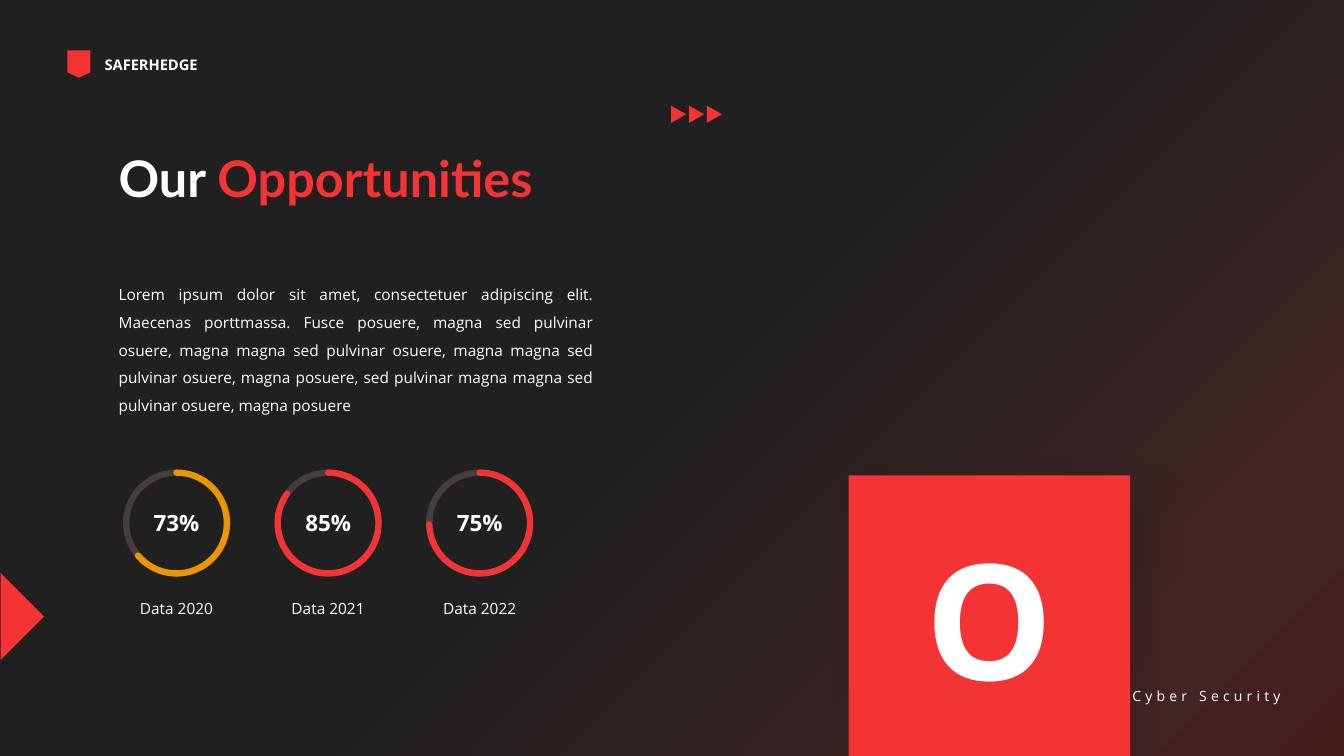
from dataclasses import dataclass

import lxml.etree
import pptx
import pptx.dml.color
import pptx.enum.shapes
import pptx.enum.text
import pptx.oxml
import pptx.oxml.ns
import pptx.util

Cm, Pt = pptx.util.Cm, pptx.util.Pt
RGB = pptx.dml.color.RGBColor.from_string
SHAPE = pptx.enum.shapes.MSO_SHAPE
ALIGN = pptx.enum.text.PP_ALIGN
ANCHOR = pptx.enum.text.MSO_ANCHOR
qn, nsdecls = pptx.oxml.ns.qn, pptx.oxml.ns.nsdecls


@dataclass(frozen=True)
class Theme:
    white: str = "FFFFFF"
    red: str = "F43334"
    amber: str = "EB9500"
    track: str = "E1B6B6"
    backdrop: tuple = ((0, "202020"), (50, "202020"), (88, "442424"), (100, "441C1C"))
    heading_font: str = "Lato"
    body_font: str = "Open Sans"
    letter: float = 115
    title: float = 36
    percent: float = 16
    body: float = 11
    brand: float = 10.5
    footer: float = 10
    ring: float = 4.5


theme = Theme()
prs = pptx.Presentation()
prs.slide_width, prs.slide_height = Cm(33.87), Cm(19.05)
s = prs.slides.add_slide(prs.slide_layouts[6])


def add_shape(kind, left, top, width, height, fill=None, line=None, rotation=0):
    sp = s.shapes.add_shape(kind, Cm(left), Cm(top), Cm(width), Cm(height))
    sp.shadow.inherit = False
    sp.rotation = rotation
    if fill:
        sp.fill.solid()
        sp.fill.fore_color.rgb = RGB(fill)
    else:
        sp.fill.background()
    if line:
        sp.line.color.rgb = RGB(line)
        sp.line.width = Pt(theme.ring)
    else:
        sp.line.fill.background()
    return sp


def add_text(*runs, box=None, sp=None, size=theme.body, font=theme.body_font, bold=False,
             align=ALIGN.LEFT, anchor=ANCHOR.TOP, line_spacing=None, tracking=None):
    """Write (text, colour) runs into shape sp, or into a new text box."""
    sp = sp or s.shapes.add_textbox(*map(Cm, box))
    tf = sp.text_frame
    tf.word_wrap = True
    tf.vertical_anchor = anchor
    p = tf.paragraphs[0]
    p.alignment = align
    if line_spacing:
        p.line_spacing = line_spacing
    for text, color in runs:
        r = p.add_run()
        r.text = text
        r.font.name, r.font.size, r.font.bold = font, Pt(size), bold
        r.font.color.rgb = RGB(color)
        if tracking:
            r.font._element.set("spc", str(tracking * 100))


# Background
s.background.fill.gradient()
s.background.fill.gradient_angle = 315
stops = s._element.find(".//" + qn("a:gsLst"))
for stop in list(stops):
    stops.remove(stop)
for position, color in theme.backdrop:
    stop = lxml.etree.SubElement(stops, qn("a:gs"), pos=str(position * 1000))
    lxml.etree.SubElement(stop, qn("a:srgbClr"), val=color)

# Letter block
block = add_shape(SHAPE.RECTANGLE, 21.39, 11.98, 7.09, 7.07, fill=theme.red)
block._element.spPr.find(qn("a:effectLst")).append(pptx.oxml.parse_xml(
    f'<a:outerShdw {nsdecls("a")} blurRad="{Pt(30)}" dist="{Pt(20)}" dir="2700000" '
    'algn="tl" rotWithShape="0"><a:srgbClr val="000000"><a:alpha val="10000"/>'
    '</a:srgbClr></a:outerShdw>'))
add_text(("O", theme.white), sp=block, size=theme.letter, bold=True,
         align=ALIGN.CENTER, anchor=ANCHOR.MIDDLE)

# Brand, footer and edge marker
add_shape(SHAPE.FLOWCHART_OFFPAGE_CONNECTOR, 1.7, 1.27, 0.58, 0.69, fill=theme.red)
add_text(("SAFERHEDGE", theme.white), box=(2.39, 1.27, 3.5, 0.71),
         size=theme.brand, bold=True)
add_text(("Cyber Security", theme.white), box=(27.97, 17.2, 4.55, 0.69),
         size=theme.footer, align=ALIGN.RIGHT, tracking=3)
add_shape(SHAPE.RIGHT_TRIANGLE, -0.76, 14.76, 1.55, 1.55, fill=theme.red, rotation=225)

# Title and body
add_text(("Our ", theme.white), ("Opportunities", theme.red), box=(2.74, 3.58, 11.56, 1.8),
         size=theme.title, font=theme.heading_font, bold=True)
add_text(("Lorem ipsum dolor sit amet, consectetuer adipiscing elit. Maecenas porttmassa. "
          "Fusce posuere, magna sed pulvinar osuere, magna magna sed pulvinar osuere, "
          "magna magna sed pulvinar osuere, magna posuere, sed pulvinar magna magna sed "
          "pulvinar osuere, magna posuere", theme.white),
         box=(2.74, 6.83, 12.47, 3.78), align=ALIGN.JUSTIFY, line_spacing=1.5)

# Progress rings: each arc runs clockwise from the top to its end angle
rings = [("73%", "Data 2020", 139.8, theme.amber),
         ("85%", "Data 2021", 215.6, theme.red),
         ("75%", "Data 2022", 178.5, theme.red)]
ring_top, ring_size, ring_pitch = 11.91, 2.54, 3.82
for i, (percent, label, end_angle, color) in enumerate(rings):
    left = 3.18 + i * ring_pitch
    ring_box = (left, ring_top, ring_size, ring_size)
    track = add_shape(SHAPE.OVAL, *ring_box, line=theme.track)
    track_color = track.line._ln.find(".//" + qn("a:srgbClr"))
    lxml.etree.SubElement(track_color, qn("a:alpha"), val="20000")
    arc = add_shape(SHAPE.ARC, *ring_box, line=color)
    for n, angle in enumerate((270, end_angle)):
        arc.adjustments[n] = angle * 0.6
    arc.line._ln.set("cap", "rnd")
    add_text((percent, theme.white), box=ring_box, size=theme.percent, bold=True,
             align=ALIGN.CENTER, anchor=ANCHOR.MIDDLE)
    add_text((label, theme.white), box=(left - 0.16, 14.73, ring_size + 0.32, 0.97),
             align=ALIGN.CENTER, line_spacing=1.5)

# Forward arrows
for i in range(3):
    add_shape(SHAPE.ISOSCELES_TRIANGLE, 16.89 + i * 0.45, 2.69, 0.43, 0.38,
              fill=theme.red, rotation=90)

prs.save("out.pptx")
